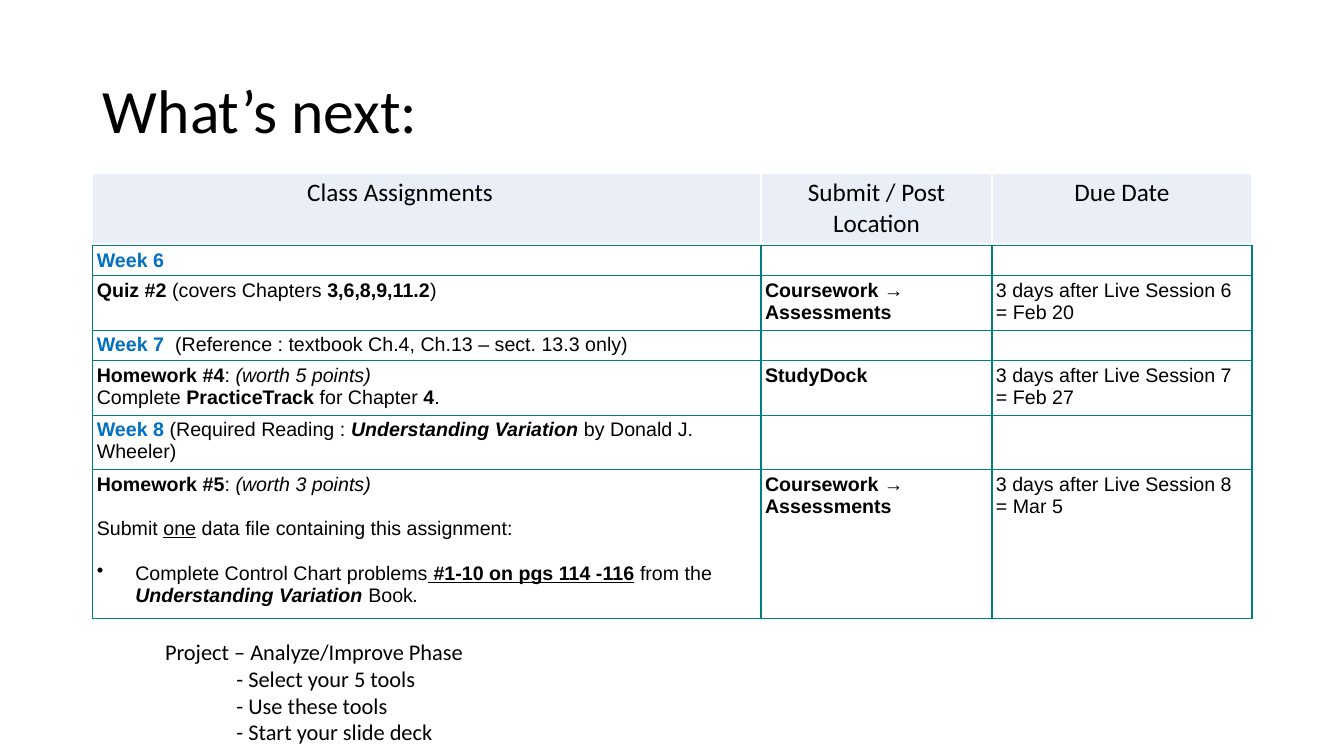
"""Build the "What's next" slide with its assignment tables and project steps."""
import pptx
import pptx.util
import pptx.dml.color
import pptx.enum.text
import pptx.oxml
import pptx.oxml.ns

Cm = pptx.util.Cm
Pt = pptx.util.Pt
RGBColor = pptx.dml.color.RGBColor
PP_ALIGN = pptx.enum.text.PP_ALIGN
BLACK = RGBColor(0x00, 0x00, 0x00)
WHITE = RGBColor(0xFF, 0xFF, 0xFF)
BLUE = RGBColor(0x00, 0x70, 0xC0)
TEAL = RGBColor(0x00, 0x80, 0x80)
PALE = RGBColor(0xEA, 0xEF, 0xF7)
LEFT = Cm(2.34)
COLUMNS = [16.84, 5.82, 6.55]
NS = pptx.oxml.ns.nsdecls("a")


def set_font(font, name, size, color=BLACK):
    font.name, font.size = name, Pt(size)
    font.color.rgb = color


def add_grid(s, top, heights, border, fill=None):
    width = sum(COLUMNS)
    shape = s.shapes.add_table(len(heights), len(COLUMNS), LEFT, Cm(top), Cm(width), Cm(sum(heights)))
    table = shape.table
    table.first_row = table.horz_banding = False
    for column, w in zip(table.columns, COLUMNS):
        column.width = Cm(w)
    for row, h in zip(table.rows, heights):
        row.height = Cm(h)
    for cell in table.iter_cells():
        cell.margin_left = cell.margin_right = cell.margin_top = cell.margin_bottom = Cm(0.1)
        tcPr = cell._tc.get_or_add_tcPr()
        for side in ("lnL", "lnR", "lnT", "lnB"):
            tcPr.append(pptx.oxml.parse_xml(
                f'<a:{side} {NS} w="12700"><a:solidFill><a:srgbClr val="{border}"/></a:solidFill></a:{side}>'))
        if fill is None:
            cell.fill.background()
        else:
            cell.fill.solid()
            cell.fill.fore_color.rgb = fill
    return table


prs = pptx.Presentation()
prs.slide_width, prs.slide_height = Cm(33.87), Cm(19.05)
s = prs.slides.add_slide(prs.slide_layouts[5])

title = s.shapes.title
title.left, title.top, title.width, title.height = LEFT, Cm(1.02), Cm(29.21), Cm(3.68)
title.text_frame.text = "What’s next:"
title.text_frame.vertical_anchor = pptx.enum.text.MSO_ANCHOR.MIDDLE
p = title.text_frame.paragraphs[0]
p.alignment, p.line_spacing = PP_ALIGN.LEFT, 0.9
set_font(p.font, "Calibri", 44)

header = add_grid(s, 4.38, [1.7], WHITE, PALE)
for cell, label in zip(header.iter_cells(), ["Class Assignments", "Submit / Post Location", "Due Date"]):
    cell.text = label
    p = cell.text_frame.paragraphs[0]
    p.alignment = PP_ALIGN.CENTER
    set_font(p.font, "Calibri", 18)
p = header.cell(0, 0).text_frame.paragraphs[0]
p.alignment = PP_ALIGN.LEFT
p._p.get_or_add_pPr().set("marL", str(Cm(5.3)))

COURSEWORK = [[("Coursework → Assessments", "b")]]
EMPTY = [[]]
weeks_6 = [
    [[[("Week 6", "bw")]], EMPTY, EMPTY],
    [[[("Quiz #2", "b"), (" (covers Chapters ", ""), ("3,6,8,9,11.2", "b"), (")", "")]],
     COURSEWORK, [[("3 days after Live Session 6 = Feb 20", "")]]],
]
weeks_7_8 = [
    [[[("Week 7  ", "bw"), ("(Reference : textbook Ch.4, Ch.13 – sect. 13.3 only)", "")]], EMPTY, EMPTY],
    [[[("Homework #4", "b"), (": ", ""), ("(worth 5 points)", "i")],
      [("Complete ", ""), ("PracticeTrack", "b"), (" for Chapter ", ""), ("4", "b"), (".", "")]],
     [[("StudyDock", "b")]], [[("3 days after Live Session 7 = Feb 27", "")]]],
    [[[("Week 8", "bw"), (" (Required Reading : ", ""), ("Understanding Variation", "bi"),
       (" by Donald J. Wheeler)", "")]], EMPTY, EMPTY],
    [[[("Homework #5", "b"), (": ", ""), ("(worth 3 points)", "i")],
      [("Submit ", ""), ("one", "u"), (" data file containing this assignment:", "")],
      [("Complete Control Chart problems", ""), (" #1-10 on pgs 114 -116", "bu"), (" from the ", ""),
       ("Understanding Variation ", "bi"), ("Book", ""), (".", "i")]],
     COURSEWORK, [[("3 days after Live Session 8 = Mar 5", "")]]],
]
for top, heights, rows in [(6.18, [0.77, 1.37], weeks_6), (8.32, [0.77, 1.37, 1.37, 3.76], weeks_7_8)]:
    table = add_grid(s, top, heights, TEAL)
    for cell, paragraphs in zip(table.iter_cells(), [c for row in rows for c in row]):
        tf = cell.text_frame
        for i, runs in enumerate(paragraphs):
            p = tf.add_paragraph() if i else tf.paragraphs[0]
            set_font(p.font, "Arial", 14)
            for text, style in runs:
                r = p.add_run()
                r.text = text
                r.font.bold = "b" in style
                r.font.italic = "i" in style
                r.font.underline = "u" in style
                if "w" in style:
                    r.font.color.rgb = BLUE

homework = table.cell(3, 0).text_frame.paragraphs
for p in homework[1:]:
    p.space_before = Pt(16)
pPr = homework[2]._p.get_or_add_pPr()
pPr.set("marL", str(Cm(0.97)))
pPr.set("indent", str(-Cm(0.97)))
pPr.insert_element_before(pptx.oxml.parse_xml(f'<a:buChar {NS} char="•"/>'), "a:tabLst", "a:defRPr", "a:extLst")

sp = s.shapes.add_textbox(Cm(3.91), Cm(15.95), Cm(8.13), Cm(3))
tf = sp.text_frame
tf.word_wrap = False
steps = ["Project – Analyze/Improve Phase", "- Select your 5 tools", "- Use these tools", "- Start your slide deck"]
for i, step in enumerate(steps):
    p = tf.add_paragraph() if i else tf.paragraphs[0]
    p.text = step
    set_font(p.font, "Calibri", 16)
    if i:
        p._p.get_or_add_pPr().set("marL", str(Cm(1.8)))

prs.save("out.pptx")
